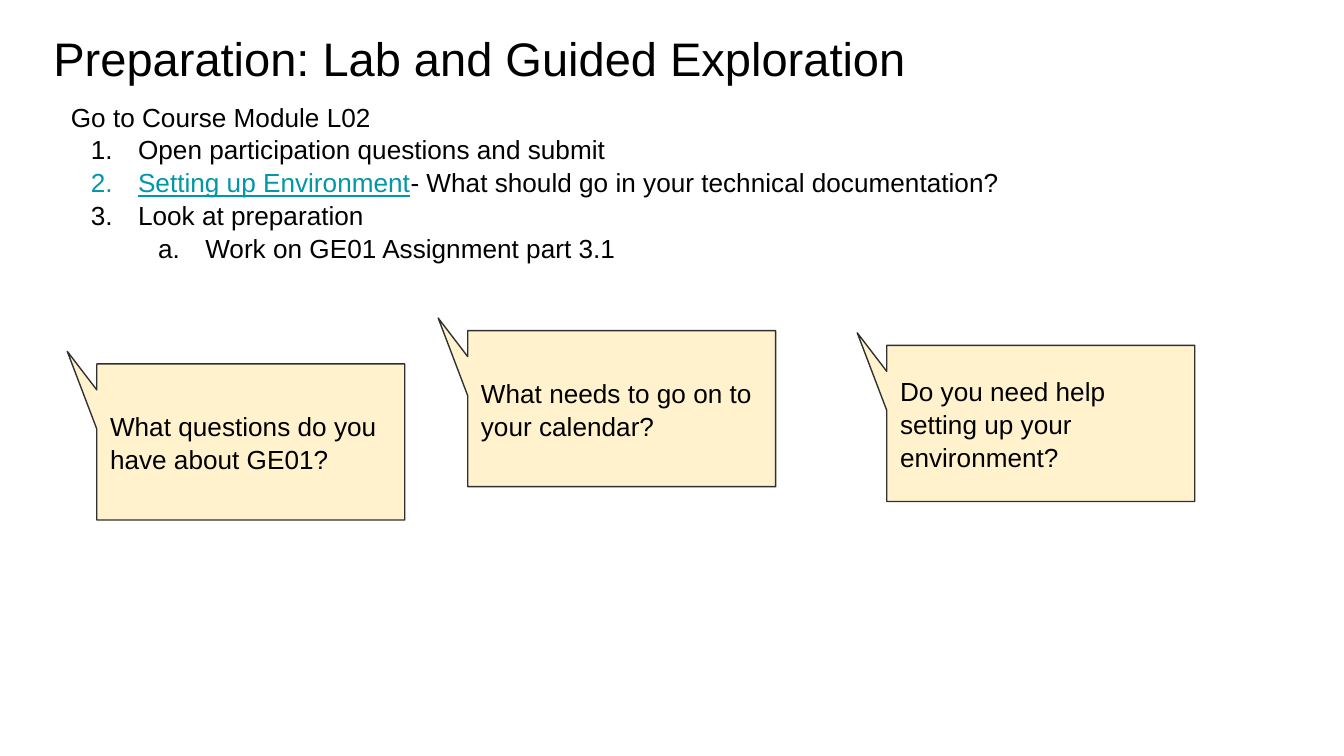
"""Build the lab preparation slide with its steps and three question callouts."""
from lxml import etree
from pptx import Presentation
from pptx.dml.color import RGBColor
from pptx.enum import shapes, text
from pptx.oxml.ns import qn
from pptx.util import Cm, Pt

THEME = {
    "font": "Arial", "title": 25.2, "body": 14, "line": 0.75, "space": 1.05,
    "ink": "000000", "link": "0097A7", "fill": "FFF2CC", "edge": "303030",
}
TITLE = "Preparation: Lab and Guided Exploration"
STEPS = [
    (0, None, [("Go to Course Module L02", False)]),
    (0, "arabicPeriod", [("Open participation questions and submit", False)]),
    (0, "arabicPeriod", [
        ("Setting up Environment", True),
        ("- What should go in your technical documentation?", False),
    ]),
    (0, "arabicPeriod", [("Look at preparation", False)]),
    (1, "alphaLcPeriod", [("Work on GE01 Assignment part 3.1", False)]),
]
ASKS = [
    (1.83, 6.88, "What questions do you have about GE01?"),
    (8.84, 6.25, "What needs to go on to your calendar?"),
    (16.76, 6.53, "Do you need help setting up your environment?"),
]
SIZE = (5.82, 2.95)
TAIL = (-0.596, -0.581, 0)
INDENT, HANG = 1.27, 0.89


def color(name):
    return RGBColor.from_string(THEME[name])


def style(para, size, space=1):
    para.alignment = text.PP_ALIGN.LEFT
    para.line_spacing = space
    para.font.name = THEME["font"]
    para.font.size = Pt(THEME[size])
    para.font.color.rgb = color("ink")


def setup(shape, anchor):
    frame = shape.text_frame
    frame.word_wrap = True
    frame.vertical_anchor = anchor
    frame.margin_left = frame.margin_right = Cm(0.25)
    frame.margin_top = frame.margin_bottom = Cm(0.25)
    return frame


def number(para, level, kind):
    props = para._p.get_or_add_pPr()
    props.set("marL", str(Cm(INDENT * (level + 1))))
    props.set("indent", str(-Cm(HANG)))
    etree.SubElement(props, qn("a:buAutoNum"), type=kind)


def add_title(slide):
    box = slide.shapes.add_textbox(Cm(0.76), Cm(0.28), Cm(23.67), Cm(1.6))
    frame = setup(box, text.MSO_ANCHOR.BOTTOM)
    frame.text = TITLE
    style(frame.paragraphs[0], "title")


def add_steps(slide):
    box = slide.shapes.add_textbox(Cm(1.09), Cm(1.63), Cm(23.01), Cm(5.31))
    frame = setup(box, text.MSO_ANCHOR.TOP)
    for i, (level, kind, parts) in enumerate(STEPS):
        para = frame.add_paragraph() if i else frame.paragraphs[0]
        para.level = level
        if kind:
            number(para, level, kind)
        style(para, "body", THEME["space"])
        for words, link in parts:
            run = para.add_run()
            run.text = words
            if link:
                run.font.underline = True
                run.font.color.rgb = color("link")


def add_ask(slide, left, top, words):
    kind = shapes.MSO_SHAPE.ROUNDED_RECTANGULAR_CALLOUT
    shape = slide.shapes.add_shape(kind, Cm(left), Cm(top), *map(Cm, SIZE))
    for i, value in enumerate(TAIL):
        shape.adjustments[i] = value
    shape.shadow.inherit = False
    shape.fill.solid()
    shape.fill.fore_color.rgb = color("fill")
    shape.line.color.rgb = color("edge")
    shape.line.width = Pt(THEME["line"])
    frame = setup(shape, text.MSO_ANCHOR.MIDDLE)
    frame.text = words
    style(frame.paragraphs[0], "body", THEME["space"])


def main():
    deck = Presentation()
    deck.slide_width, deck.slide_height = Cm(25.4), Cm(14.29)
    slide = deck.slides.add_slide(deck.slide_layouts[6])
    add_title(slide)
    for ask in ASKS:
        add_ask(slide, *ask)
    add_steps(slide)
    deck.save("out.pptx")


if __name__ == "__main__":
    main()
